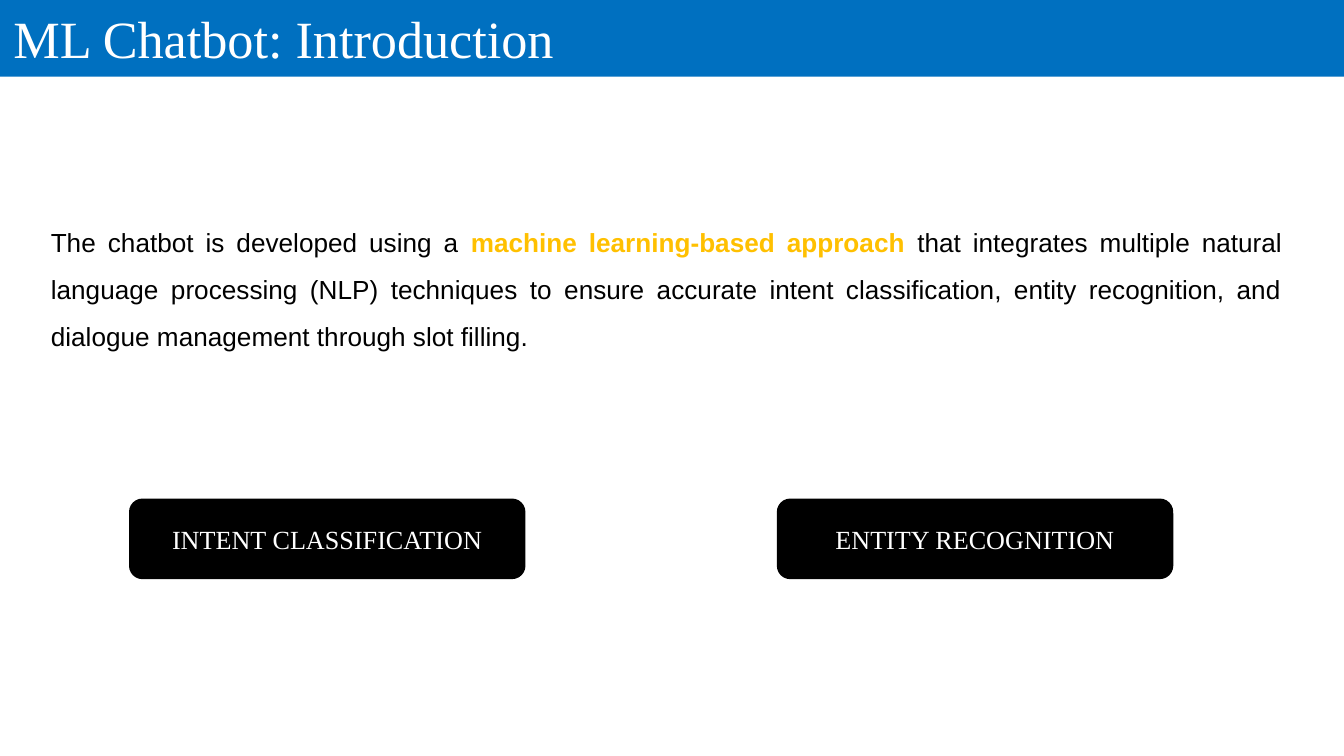
from dataclasses import dataclass

from pptx import Presentation
from pptx.dml.color import RGBColor
from pptx.enum.shapes import MSO_SHAPE
from pptx.enum.text import MSO_ANCHOR, PP_ALIGN
from pptx.util import Inches, Pt

ROUNDED = MSO_SHAPE.ROUNDED_RECTANGLE
TOP, MIDDLE = MSO_ANCHOR.TOP, MSO_ANCHOR.MIDDLE
LEFT, CENTER, JUSTIFY = PP_ALIGN.LEFT, PP_ALIGN.CENTER, PP_ALIGN.JUSTIFY


@dataclass(frozen=True)
class Theme:
    blue: RGBColor = RGBColor(0x00, 0x70, 0xC0)
    amber: RGBColor = RGBColor(0xFF, 0xC0, 0x00)
    black: RGBColor = RGBColor(0x00, 0x00, 0x00)
    white: RGBColor = RGBColor(0xFF, 0xFF, 0xFF)
    heading_font: str = "Times New Roman"
    body_font: str = "Arial"
    title_size: Pt = Pt(28)
    body_size: Pt = Pt(14)


theme = Theme()


def add_run(p, text, font, size, color, bold=False):
    r = p.add_run()
    r.text = text
    r.font.name = font
    r.font.size = size
    r.font.bold = bold
    r.font.color.rgb = color


prs = Presentation()
prs.slide_width = Inches(10)
prs.slide_height = Inches(10 * 9 / 16)
s = prs.slides.add_slide(prs.slide_layouts[5])

# Title bar
title = s.shapes.title
title.left, title.top = Inches(0), Inches(0)
title.width, title.height = Inches(10), Inches(0.57)
title.fill.solid()
title.fill.fore_color.rgb = theme.blue
tf = title.text_frame
tf.vertical_anchor = TOP
p = tf.paragraphs[0]
p.alignment = LEFT
add_run(p, "ML Chatbot: Introduction", theme.heading_font, theme.title_size, theme.white)

# Introduction
intro = s.shapes.add_textbox(Inches(0.28), Inches(1.52), Inches(9.36), Inches(1.12))
tf = intro.text_frame
tf.word_wrap = True
p = tf.paragraphs[0]
p.alignment = JUSTIFY
p.line_spacing = 1.5
for text, color, bold in (
    ("The chatbot is developed using a ", theme.black, False),
    ("machine learning-based approach ", theme.amber, True),
    ("that integrates multiple natural language processing (NLP) techniques to ensure "
     "accurate intent classification, entity recognition, and dialogue management "
     "through slot filling. ", theme.black, False),
):
    add_run(p, text, theme.body_font, theme.body_size, color, bold)

# Technique boxes
for left, label in ((0.96, "INTENT CLASSIFICATION"), (5.78, "ENTITY RECOGNITION")):
    box = s.shapes.add_shape(ROUNDED, Inches(left), Inches(3.71), Inches(2.95), Inches(0.6))
    box.shadow.inherit = False
    box.fill.solid()
    box.fill.fore_color.rgb = theme.black
    box.line.fill.background()
    tf = box.text_frame
    tf.vertical_anchor = MIDDLE
    p = tf.paragraphs[0]
    p.alignment = CENTER
    add_run(p, label, theme.heading_font, theme.body_size, theme.white)

prs.save("out.pptx")
